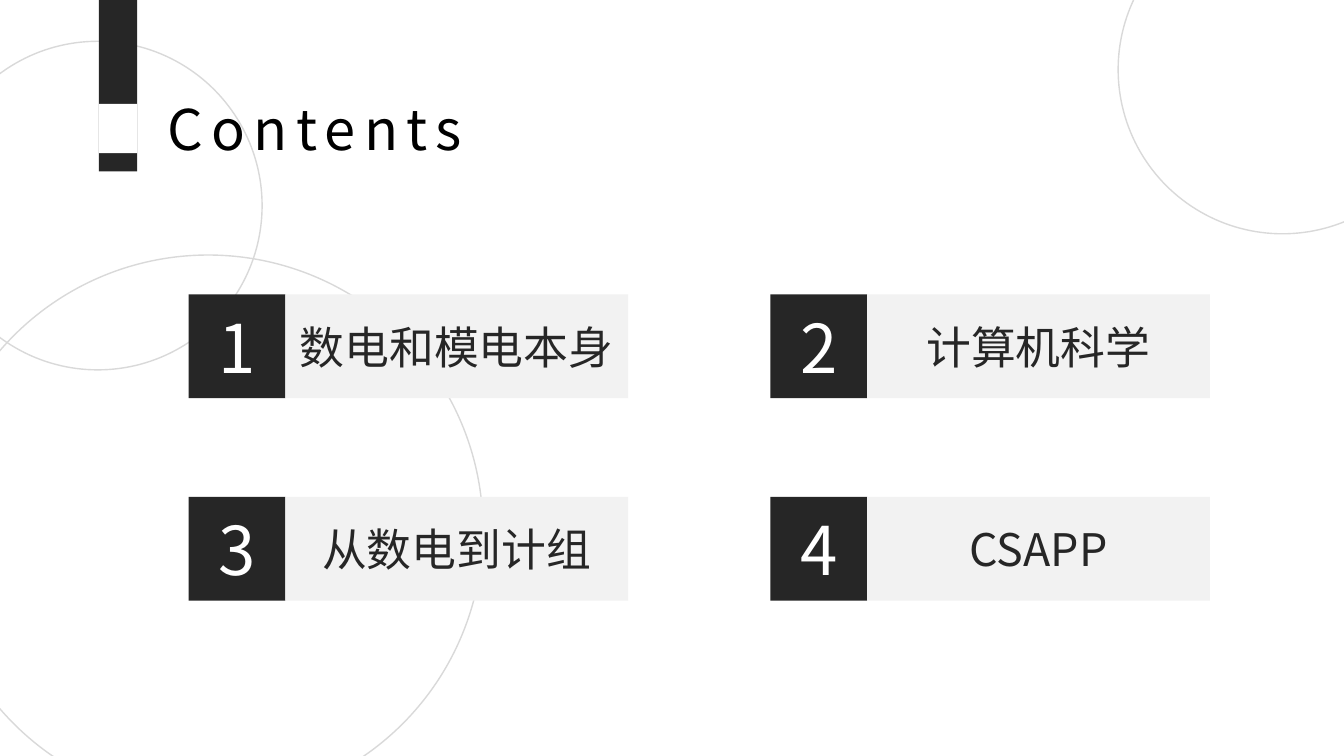
from dataclasses import dataclass

import pptx
import pptx.dml.color
import pptx.enum.shapes
import pptx.enum.text
import pptx.oxml.ns
import pptx.util
from pptx.util import Inches


@dataclass(frozen=True)
class Theme:
    dark: str = "262626"
    pale: str = "F2F2F2"
    white: str = "FFFFFF"
    black: str = "000000"
    outline: str = "D9D9D9"
    title_font: str = "Noto Sans CJK SC"
    body_font: str = "Noto Sans CJK JP"
    title_size: int = 40
    number_size: int = 48
    topic_size: int = 32
    title_spacing: int = 6


def rgb(colour):
    return pptx.dml.color.RGBColor.from_string(colour)


class ContentsSlide:
    def __init__(self, deck, theme):
        self.theme = theme
        self.slide = deck.slides.add_slide(deck.slide_layouts[5])
        self.slide.background.fill.solid()
        self.slide.background.fill.fore_color.rgb = rgb(theme.white)

    def add_run(self, paragraph, text, size, colour, font):
        run = paragraph.add_run()
        run.text = text
        run.font.size = pptx.util.Pt(size)
        run.font.color.rgb = rgb(colour)
        run.font.name = font
        east_asian = run.font._element.makeelement(
            pptx.oxml.ns.qn("a:ea"), {"typeface": font})
        run.font._element.append(east_asian)
        return run

    def circle(self, left, top, diameter):
        ring = self.slide.shapes.add_shape(
            pptx.enum.shapes.MSO_SHAPE.OVAL,
            Inches(left), Inches(top), Inches(diameter), Inches(diameter))
        ring.shadow.inherit = False
        ring.fill.background()
        ring.line.color.rgb = rgb(self.theme.outline)
        ring.line.width = pptx.util.Pt(1)

    def block(self, left, top, width, height, fill):
        box = self.slide.shapes.add_shape(
            pptx.enum.shapes.MSO_SHAPE.RECTANGLE,
            Inches(left), Inches(top), Inches(width), Inches(height))
        box.shadow.inherit = False
        box.fill.solid()
        box.fill.fore_color.rgb = rgb(fill)
        box.line.fill.background()
        return box

    def label(self, box, text, size, colour):
        frame = box.text_frame
        frame.word_wrap = True
        frame.vertical_anchor = pptx.enum.text.MSO_ANCHOR.MIDDLE
        paragraph = frame.paragraphs[0]
        paragraph.alignment = pptx.enum.text.PP_ALIGN.CENTER
        self.add_run(paragraph, text, size, colour, self.theme.body_font)

    def title(self, text, left, top, width, height):
        """Fill the title placeholder and bring it in front of what is drawn so far."""
        heading = self.slide.shapes.title
        heading.left, heading.top = Inches(left), Inches(top)
        heading.width, heading.height = Inches(width), Inches(height)
        frame = heading.text_frame
        frame.word_wrap = False
        frame.auto_size = pptx.enum.text.MSO_AUTO_SIZE.SHAPE_TO_FIT_TEXT
        frame.vertical_anchor = pptx.enum.text.MSO_ANCHOR.TOP
        paragraph = frame.paragraphs[0]
        paragraph.alignment = pptx.enum.text.PP_ALIGN.LEFT
        run = self.add_run(paragraph, text, self.theme.title_size,
                           self.theme.black, self.theme.title_font)
        run.font._element.set("spc", str(self.theme.title_spacing * 100))
        self.slide.shapes._spTree.append(heading._element)

    def entry(self, number, topic, left, top):
        theme = self.theme
        number_width, topic_width, height = 0.96, 3.4, 1.03
        number_box = self.block(left, top, number_width, height, theme.dark)
        self.label(number_box, str(number), theme.number_size, theme.white)
        topic_box = self.block(left + number_width, top, topic_width, height, theme.pale)
        self.label(topic_box, topic, theme.topic_size, theme.dark)


def main():
    deck = pptx.Presentation()
    deck.slide_width, deck.slide_height = Inches(13.33), Inches(7.5)
    theme = Theme()
    contents = ContentsSlide(deck, theme)

    for left, top, diameter in ((-0.66, 0.41, 3.26), (-0.66, 2.53, 5.45),
                                (11.09, -0.94, 3.26)):
        contents.circle(left, top, diameter)

    contents.block(0.98, 0, 0.38, 1.7, theme.dark)
    contents.title("Contents", 1.56, 0.89, 3.45, 0.77)
    contents.block(0.98, 1.03, 0.38, 0.49, theme.white)

    topics = ("数电和模电本身", "计算机科学", "从数电到计组", "CSAPP")
    for index, topic in enumerate(topics):
        row, column = divmod(index, 2)
        contents.entry(index + 1, topic, 1.87 + 5.77 * column, 2.92 + 2.01 * row)

    deck.save("out.pptx")


if __name__ == "__main__":
    main()
